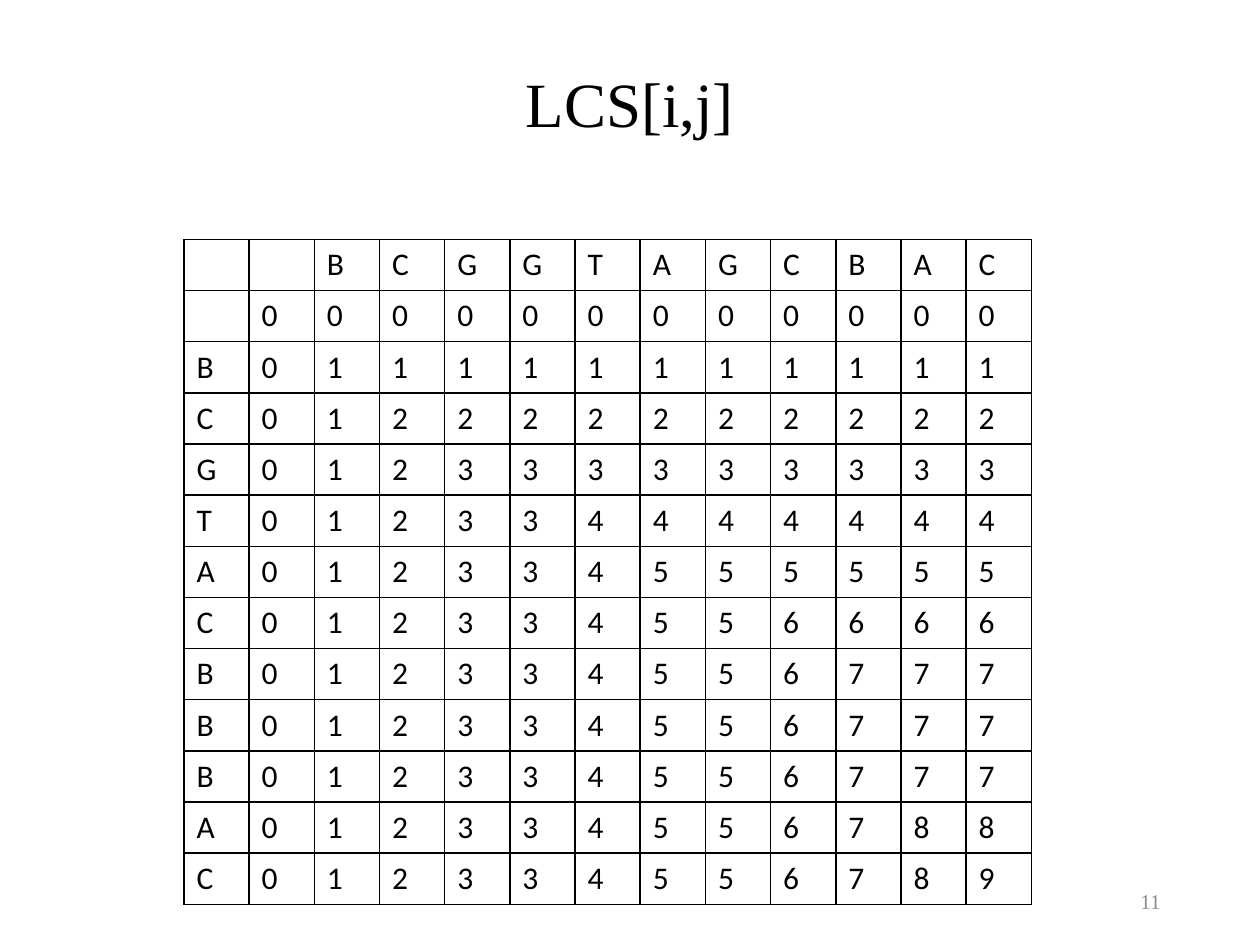
from lxml.etree import SubElement
from pptx import Presentation
from pptx.dml.color import RGBColor as Rgb
from pptx.enum.text import MSO_ANCHOR as Anchor, PP_ALIGN as Align
from pptx.oxml.ns import qn
from pptx.util import Inches, Pt

TITLE = "LCS[i,j]"
PAGE = "11"
LCS_ROWS = [
    "  BCGGTAGCBAC",
    " 000000000000",
    "B011111111111",
    "C012222222222",
    "G012333333333",
    "T012334444444",
    "A012334555555",
    "C012334556666",
    "B012334556777",
    "B012334556777",
    "B012334556777",
    "A012334556788",
    "C012334556789",
]
COLORS = {"ink": "000000", "page": "8C8C8C"}
SERIF, SANS = "Times New Roman", "Calibri"
WIDTH, HEIGHT = Inches(10), Inches(7.5)
GRID_LEFT, GRID_TOP = Inches(1.46), Inches(1.9)
COLUMN, ROW = Inches(6.73) // 13, Inches(5.28) // 13


def style(paragraph, font_name, size, color):
    paragraph.font.name = font_name
    paragraph.font.size = Pt(size)
    paragraph.font.color.rgb = Rgb.from_string(COLORS[color])


def add_label(slide, text, box, align, size, color):
    frame = slide.shapes.add_textbox(*map(Inches, box)).text_frame
    frame.word_wrap = True
    frame.vertical_anchor = Anchor.MIDDLE
    paragraph = frame.paragraphs[0]
    paragraph.text = text
    paragraph.alignment = align
    style(paragraph, SERIF, size, color)
    return frame


def add_borders(cell):
    properties = cell._tc.get_or_add_tcPr()
    for side in ("lnL", "lnR", "lnT", "lnB"):
        line = SubElement(properties, qn(f"a:{side}"), w=str(Pt(1)))
        fill = SubElement(line, qn("a:solidFill"))
        SubElement(fill, qn("a:srgbClr"), val=COLORS["ink"])


def add_grid(slide):
    count = len(LCS_ROWS)
    grid = slide.shapes.add_table(
        count, count, GRID_LEFT, GRID_TOP, COLUMN * count, ROW * count
    ).table
    grid.first_row = grid.horz_banding = False
    for column in grid.columns:
        column.width = COLUMN
    for row, values in zip(grid.rows, LCS_ROWS):
        row.height = ROW
        for cell, value in zip(row.cells, values):
            cell.text = value.strip()
            style(cell.text_frame.paragraphs[0], SANS, 18, "ink")
            add_borders(cell)
            cell.fill.background()


def main():
    deck = Presentation()
    deck.slide_width, deck.slide_height = WIDTH, HEIGHT
    slide = deck.slides.add_slide(deck.slide_layouts[6])
    title = add_label(slide, TITLE, (0.69, 0.4, 8.62, 1.45), Align.CENTER, 36, "ink")
    title.margin_bottom = Inches(0.6)
    title.paragraphs[0].line_spacing = 0.9
    add_label(slide, PAGE, (7.06, 6.95, 2.25, 0.4), Align.RIGHT, 12, "page")
    add_grid(slide)
    deck.save("out.pptx")


if __name__ == "__main__":
    main()
